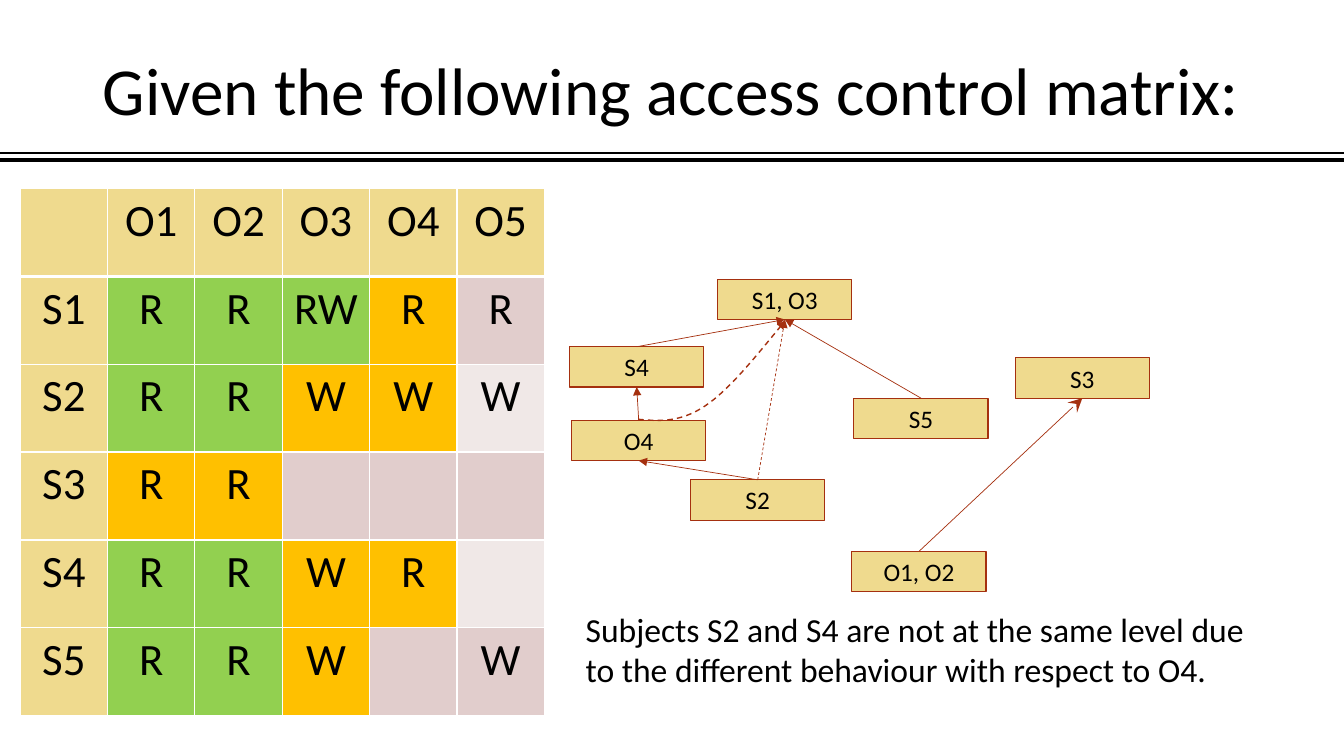
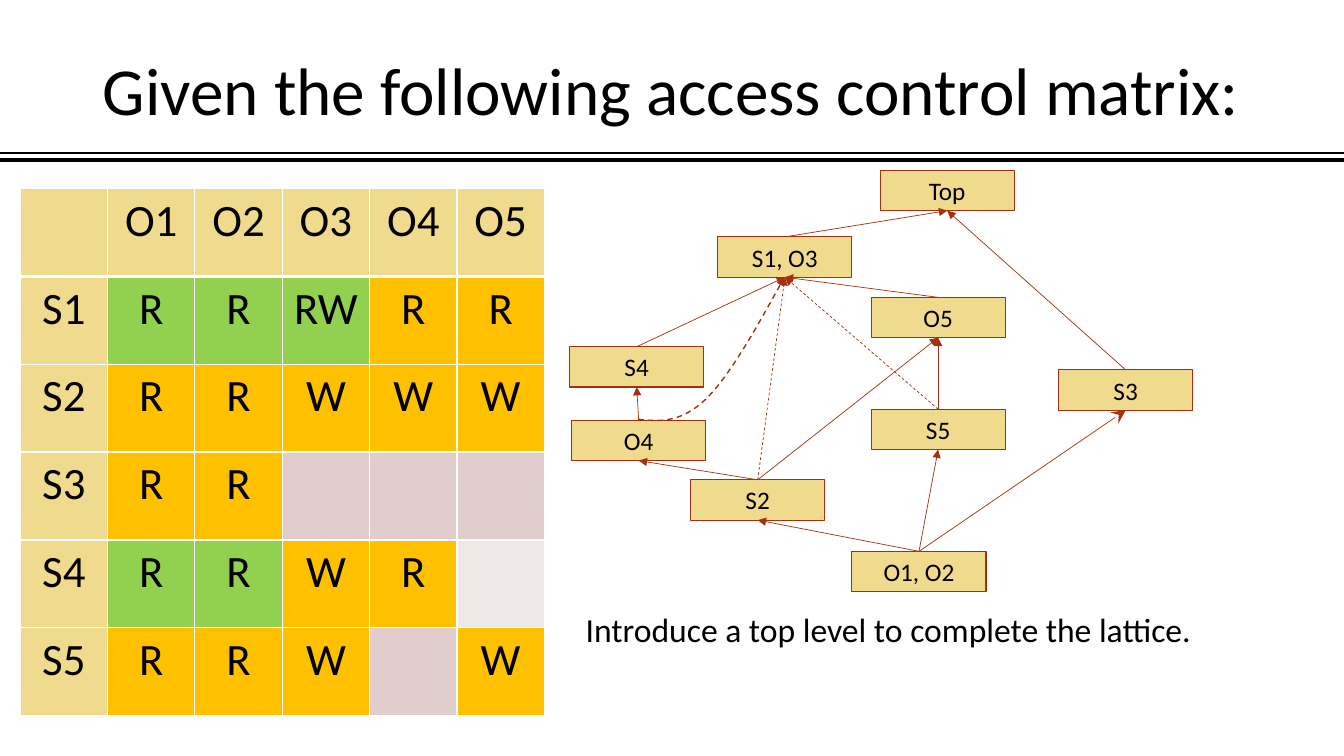
"""Build two slides that turn an access control matrix into a lattice."""
from lxml import etree
from pptx import Presentation
from pptx.dml.color import RGBColor
from pptx.enum.dml import MSO_LINE
from pptx.enum.shapes import MSO_CONNECTOR, MSO_SHAPE
from pptx.enum.text import MSO_ANCHOR, MSO_AUTO_SIZE, PP_ALIGN
from pptx.oxml.ns import qn
from pptx.util import Inches, Pt

STRAIGHT, RECT = MSO_CONNECTOR.STRAIGHT, MSO_SHAPE.RECTANGLE
DASH = MSO_LINE.DASH
LEFT, CENTER = PP_ALIGN.LEFT, PP_ALIGN.CENTER
MIDDLE, NO_FIT = MSO_ANCHOR.MIDDLE, MSO_AUTO_SIZE.NONE

FONT = "Calibri"
BLACK = RGBColor(0x00, 0x00, 0x00)
WHITE = RGBColor(0xFF, 0xFF, 0xFF)
SAND = RGBColor(0xEF, 0xDA, 0x8E)
RUST = RGBColor(0xA5, 0x30, 0x0F)
GREEN = RGBColor(0x92, 0xD0, 0x50)
AMBER = RGBColor(0xFF, 0xC0, 0x00)
BANDS = (RGBColor(0xF0, 0xE8, 0xE7), RGBColor(0xE1, 0xCD, 0xCC))
MARKS = {"G": GREEN, "A": AMBER}

TITLE = "Given the following access control matrix:"
MATRIX = [
    ("", "O1", "O2", "O3", "O4", "O5"),
    ("S1", "R", "R", "RW", "R", "R"),
    ("S2", "R", "R", "W", "W", "W"),
    ("S3", "R", "R", "", "", ""),
    ("S4", "R", "R", "W", "R", ""),
    ("S5", "R", "R", "W", "", "W"),
]
TABLE_AT = (0.2, 1.87, 5.2, 5.23)
BOX_W, BOX_H = 1.33, 0.4

SHARED_BOXES = {
    "O1, O2": (8.45, 5.47),
    "S4": (5.65, 3.44),
    "S2": (6.85, 4.76),
    "O4": (5.67, 4.17),
}
SHARED_ARROWS = [
    ("O1, O2", "S3", "stealth"),
    ("S4", "S1, O3", "solid"),
    ("S2", "S1, O3", "dash"),
    ("O4", "S4", "solid"),
    ("S2", "O4", "solid"),
]
SLIDES = [
    {
        "marks": ("GGGA-", "GGAA-", "AA---", "GGAA-", "GGA--"),
        "note": "Subjects S2 and S4 are not at the same level due to the "
                "different behaviour with respect to O4.",
        "note_h": 0.91,
        "boxes": {"S1, O3": (7.12, 2.77), "S3": (10.07, 3.55), "S5": (8.47, 3.95)},
        "arrows": [("S5", "S1, O3", "solid")],
        "curve": [(6.33, 4.16), (6.54, 4.18), (6.75, 4.19), (6.99, 4.03),
                  (7.23, 3.87), (7.51, 3.52), (7.79, 3.18)],
    },
    {
        "marks": ("GGGAA", "AAAAA", "AA---", "GGAA-", "AAA-A"),
        "note": "Introduce a top level to complete the lattice.",
        "note_h": 0.5,
        "boxes": {"S1, O3": (7.12, 2.35), "S3": (10.5, 3.67), "S5": (8.64, 4.06),
                  "O5": (8.64, 2.95), "Top": (8.73, 1.69)},
        "arrows": [
            ("S5", "S1, O3", "dash"),
            ("O1, O2", "S2", "solid"),
            ("S2", "O5", "solid"),
            ("O1, O2", "S5", "solid"),
            ("O5", "S1, O3", "solid"),
            ("S5", "O5", "solid"),
            ("S1, O3", "Top", "solid"),
            ("S3", "Top", "solid"),
        ],
        "curve": [(6.33, 4.16), (6.54, 4.18), (6.74, 4.2), (6.99, 3.97),
                  (7.23, 3.74), (7.51, 3.24), (7.78, 2.75)],
    },
]


def inches(*values):
    """Convert several lengths to EMU."""
    return [Inches(v) for v in values]


def write(tf, text, size, align=LEFT):
    """Fill a text frame with one formatted paragraph."""
    tf.word_wrap = True
    p = tf.paragraphs[0]
    p.text = text
    p.alignment = align
    font = p.font
    font.name, font.size, font.bold = FONT, Pt(size), False
    font.color.rgb = BLACK
    return p


def style_line(s, color, width, dashed=False, head=None, head_size="med"):
    """Set stroke, dash and arrowhead of a shape or connector."""
    s.line.color.rgb = color
    s.line.width = Pt(width)
    if dashed:
        s.line.dash_style = DASH
    if head:
        ln = s.element.spPr.find(qn("a:ln"))
        etree.SubElement(ln, qn("a:tailEnd"), type=head, w=head_size, len=head_size)


def add_line(slide, start, end, color, width, **options):
    """Add a straight connector without a shadow."""
    c = slide.shapes.add_connector(STRAIGHT, *inches(*start, *end))
    style_line(c, color, width, **options)
    etree.SubElement(c.element.spPr, qn("a:effectLst"))
    return c


def add_rules(slide, layout):
    """Place the double rule under the title on the shared layout."""
    for y, width in ((1.59, 3), (1.52, 1)):
        rule = add_line(slide, (0, y), (13.33, y), BLACK, width)
        layout.shapes.element.append(rule.element)


def add_title(slide):
    """Place and format the title placeholder."""
    s = slide.shapes.title
    s.left, s.top, s.width, s.height = inches(0.92, 0.4, 11.5, 1.05)
    tf = s.text_frame
    tf.auto_size, tf.vertical_anchor = NO_FIT, MIDDLE
    write(tf, TITLE, 48).line_spacing = 0.9


def add_borders(cell, is_header):
    """Draw white cell borders, heavier under the header row."""
    widths = {"lnL": 1, "lnR": 1}
    if is_header:
        widths["lnT"] = 1
    widths["lnB"] = 3 if is_header else 1
    for tag, width in widths.items():
        ln = etree.SubElement(cell._tc.get_or_add_tcPr(), qn("a:" + tag), w=str(Pt(width)))
        fill = etree.SubElement(ln, qn("a:solidFill"))
        etree.SubElement(fill, qn("a:srgbClr"), val=str(WHITE))


def add_matrix(slide, marks):
    """Add the access matrix with its marked rights."""
    n_rows, n_cols = len(MATRIX), len(MATRIX[0])
    table = slide.shapes.add_table(n_rows, n_cols, *inches(*TABLE_AT)).table
    table.horz_banding = False
    for row, texts in enumerate(MATRIX):
        for col, text in enumerate(texts):
            cell = table.cell(row, col)
            add_borders(cell, row == 0)
            cell.fill.solid()
            if row == 0 or col == 0:
                color = SAND
            else:
                color = MARKS.get(marks[row - 1][col - 1], BANDS[row % 2])
            cell.fill.fore_color.rgb = color
            write(cell.text_frame, text, 32, CENTER)


def add_box(slide, name, at):
    """Add one lattice node."""
    s = slide.shapes.add_shape(RECT, *inches(*at, BOX_W, BOX_H))
    s.shadow.inherit = False
    s.fill.solid()
    s.fill.fore_color.rgb = SAND
    style_line(s, RUST, 0.75)
    s.text_frame.vertical_anchor = MIDDLE
    write(s.text_frame, name, 18, CENTER)
    return s


def add_arrow(slide, source, target, kind):
    """Join the top of one node to the bottom of another."""
    stealth = kind == "stealth"
    c = add_line(slide, (0, 0), (1, 1), RUST, 0.5, dashed=kind == "dash",
                 head="stealth" if stealth else "triangle",
                 head_size="lg" if stealth else "med")
    c.begin_connect(source, 0)
    c.end_connect(target, 2)


def add_curve(slide, points):
    """Add a dashed arrow of cubic segments, three points to each."""
    start, *rest = [inches(*point) for point in points]
    builder = slide.shapes.build_freeform(*start, scale=1.0)
    builder.add_line_segments(rest, close=False)
    s = builder.convert_to_shape()
    outline = next(s.element.iter(qn("a:path")))
    segments = outline.findall(qn("a:lnTo"))
    for i in range(0, len(segments), 3):
        cubic = etree.SubElement(outline, qn("a:cubicBezTo"))
        for segment in segments[i:i + 3]:
            cubic.append(segment[0])
            outline.remove(segment)
    s.shadow.inherit = False
    s.fill.background()
    style_line(s, RUST, 1, dashed=True, head="triangle")


def add_lattice(slide, content):
    """Add the nodes and arrows of the lattice."""
    places = {**SHARED_BOXES, **content["boxes"]}
    boxes = {name: add_box(slide, name, at) for name, at in places.items()}
    for source, target, kind in SHARED_ARROWS + content["arrows"]:
        add_arrow(slide, boxes[source], boxes[target], kind)
    add_curve(slide, content["curve"])


def main():
    """Build and save the presentation."""
    prs = Presentation()
    prs.slide_width, prs.slide_height = inches(13.33, 7.5)
    layout = prs.slide_layouts[5]
    for i, content in enumerate(SLIDES):
        slide = prs.slides.add_slide(layout)
        if i == 0:
            add_rules(slide, layout)
        add_title(slide)
        add_matrix(slide, content["marks"])
        note = slide.shapes.add_textbox(*inches(5.71, 5.99, 7, content["note_h"]))
        write(note.text_frame, content["note"], 24)
        add_lattice(slide, content)
    prs.save("out.pptx")


main()
